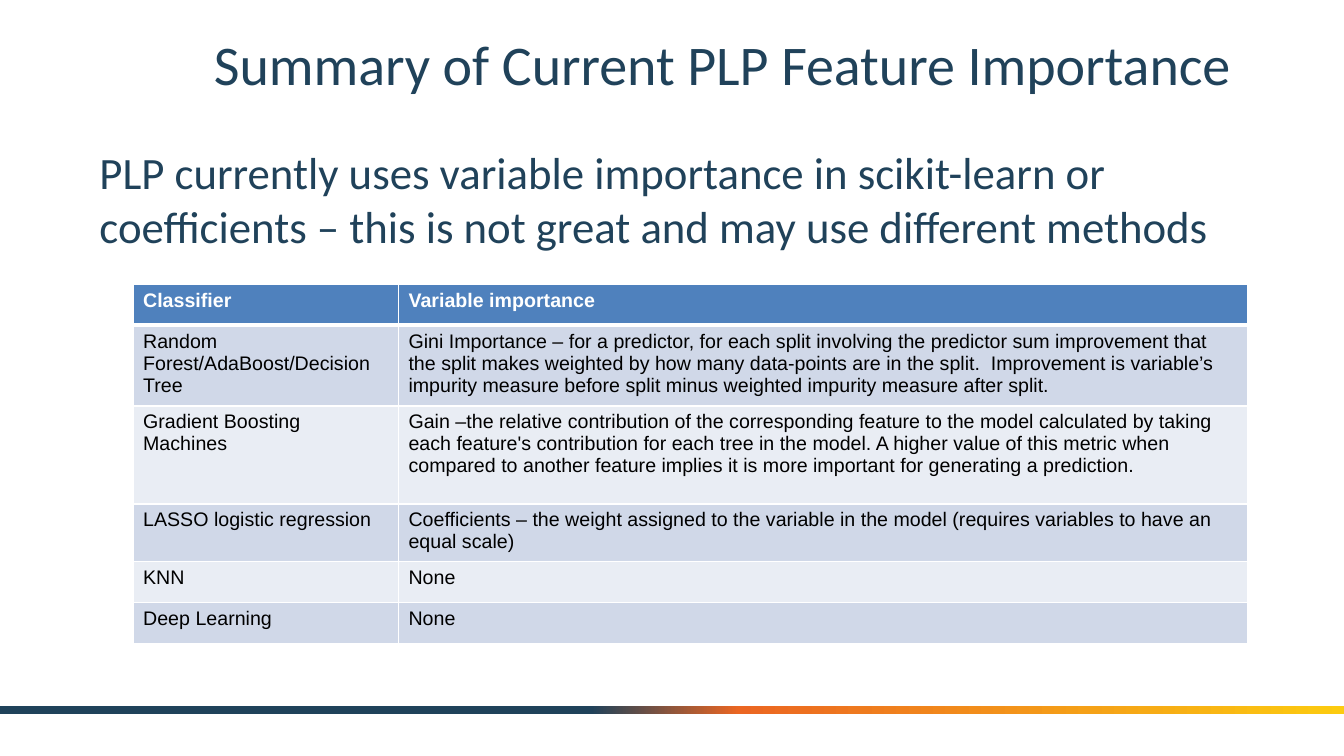
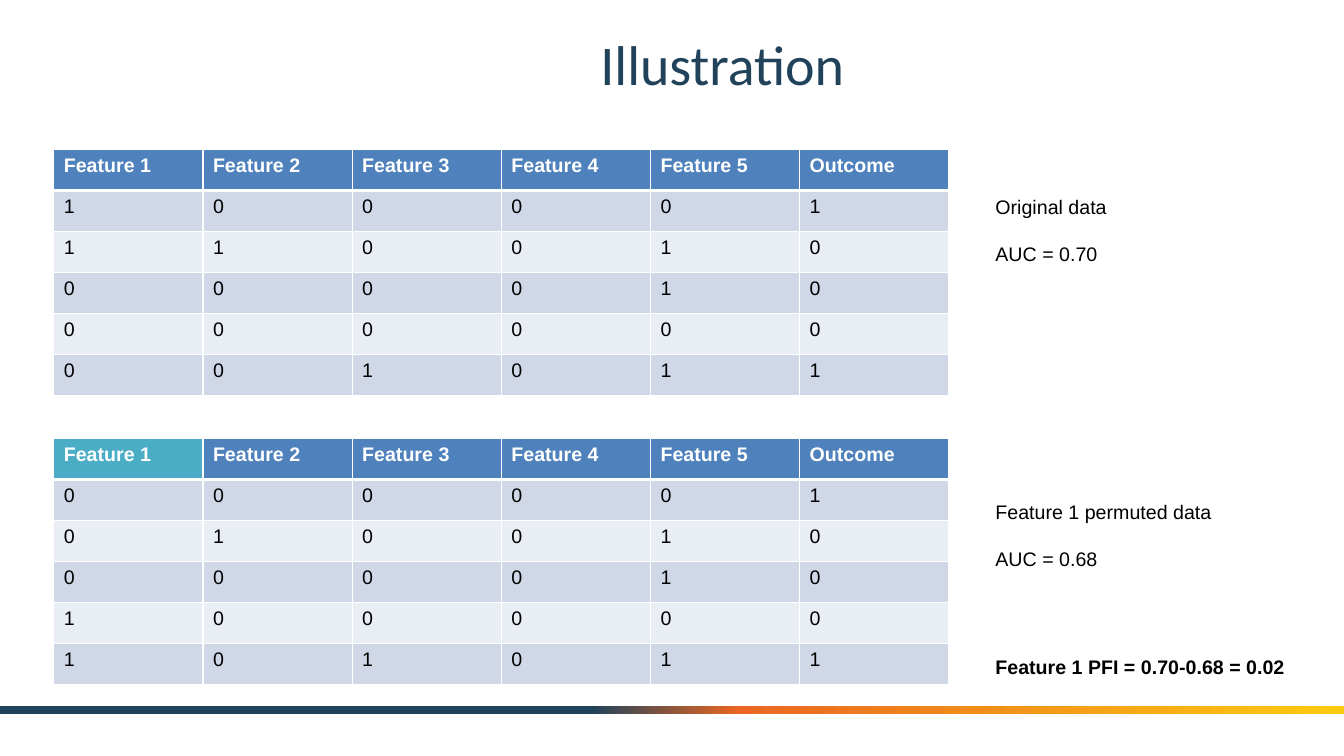
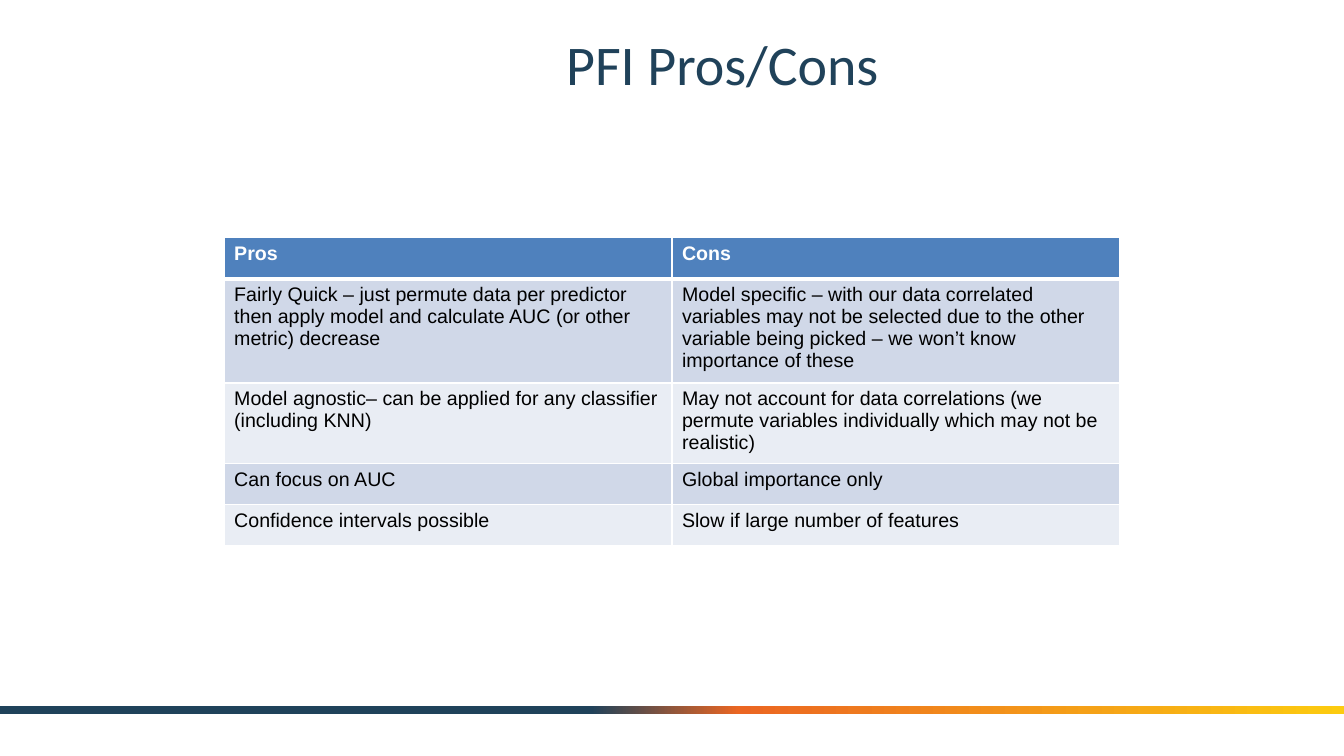
from dataclasses import dataclass, field

from lxml.etree import SubElement
from pptx import Presentation
from pptx.dml.color import RGBColor
from pptx.enum.shapes import MSO_SHAPE as Preset
from pptx.enum.text import MSO_ANCHOR as Anchor, PP_ALIGN as Align
from pptx.oxml.ns import qn
from pptx.slide import Slide
from pptx.util import Inches, Length, Pt

# Grid: 40 columns by 22.5 rows of square cells
COLUMNS, ROWS = 40, 22.5
CELL = Inches(1) / 3
TABLE_ROW = 1.22

# Colours
NAVY = RGBColor(0x20, 0x42, 0x5A)
ORANGE = RGBColor(0xEB, 0x66, 0x22)
YELLOW = RGBColor(0xFC, 0xCB, 0x10)
BLUE = RGBColor(0x4F, 0x81, 0xBD)
TEAL = RGBColor(0x4B, 0xAC, 0xC6)
STRIPES = (RGBColor(0xD0, 0xD8, 0xE8), RGBColor(0xE9, 0xED, 0xF4))
WHITE = RGBColor(0xFF, 0xFF, 0xFF)
BLACK = RGBColor(0x00, 0x00, 0x00)
BAND_STOPS = ((0, NAVY), (44, NAVY), (55, ORANGE), (100, YELLOW))

# Text formats
TITLE = {"name": "Calibri", "size": Pt(40), "color": NAVY}
LEAD = {**TITLE, "size": Pt(32)}
PLAIN = {"name": "Arial", "size": Pt(14), "color": BLACK, "bold": False}
STRONG = {**PLAIN, "bold": True}
HEADER = {**STRONG, "color": WHITE}


@dataclass
class Area:
    """A rectangle in grid cells."""
    left: float
    top: float
    width: float
    height: float

    def box(self) -> tuple[Length, ...]:
        return tuple(cells(n) for n in (self.left, self.top, self.width, self.height))


@dataclass
class Grid:
    """A table: its place, column widths, rows of text and any taller rows."""
    left: float
    top: float
    widths: list[float]
    rows: list[tuple[str, ...]]
    tall_rows: dict[int, float] = field(default_factory=dict)
    header_fills: dict[int, RGBColor] = field(default_factory=dict)


@dataclass
class Note:
    area: Area
    lines: tuple[str, ...]
    style: dict = field(default_factory=lambda: PLAIN)


def cells(count: float) -> Length:
    return Length(round(count * CELL))


def set_font(font, style: dict) -> None:
    for attribute, value in style.items():
        if attribute == "color":
            font.color.rgb = value
        else:
            setattr(font, attribute, value)


def add_text(slide: Slide, area: Area, lines: tuple[str, ...], style: dict,
             frame_format: dict, align: Align = Align.LEFT, gap: float = 0) -> None:
    frame = slide.shapes.add_textbox(*area.box()).text_frame
    for attribute, value in {"word_wrap": True, **frame_format}.items():
        setattr(frame, attribute, value)
    for index, line in enumerate(lines):
        paragraph = frame.add_paragraph() if index else frame.paragraphs[0]
        paragraph.text = line
        paragraph.alignment = align
        if index:
            paragraph.space_before = Pt(gap)
        set_font(paragraph.runs[0].font, style)


def add_band(slide: Slide) -> None:
    band = slide.shapes.add_shape(Preset.RECTANGLE, *Area(0, 21, COLUMNS, 0.25).box())
    band.shadow.inherit = False
    band.line.fill.background()
    band.fill.gradient()
    band.fill.gradient_angle = 0
    stops = next(band.element.iter(qn("a:gsLst")))
    for stop in list(stops):
        stops.remove(stop)
    for percent, color in BAND_STOPS:
        stop = SubElement(stops, qn("a:gs"), pos=str(percent * 1000))
        SubElement(stop, qn("a:srgbClr"), val=str(color))


def set_borders(cell, top: float, bottom: float) -> None:
    properties = cell._tc.get_or_add_tcPr()
    for side, points in {"L": 1, "R": 1, "T": top, "B": bottom}.items():
        line = SubElement(properties, qn(f"a:ln{side}"), w=str(Pt(points)))
        fill = SubElement(line, qn("a:solidFill"))
        SubElement(fill, qn("a:srgbClr"), val=str(WHITE))


def add_grid(slide: Slide, grid: Grid) -> None:
    heights = [grid.tall_rows.get(r, TABLE_ROW) for r in range(len(grid.rows))]
    area = Area(grid.left, grid.top, sum(grid.widths), sum(heights))
    table = slide.shapes.add_table(len(heights), len(grid.widths), *area.box()).table
    for column, width in zip(table.columns, grid.widths):
        column.width = cells(width)
    for r, (texts, height) in enumerate(zip(grid.rows, heights)):
        table.rows[r].height = cells(height)
        for c, text in enumerate(texts):
            cell = table.cell(r, c)
            set_borders(cell, top=3 if r == 1 else 1, bottom=1 if r else 3)
            cell.fill.solid()
            cell.fill.fore_color.rgb = (
                STRIPES[(r - 1) % 2] if r else grid.header_fills.get(c, BLUE))
            cell.text = text
            set_font(cell.text_frame.paragraphs[0].runs[0].font, PLAIN if r else HEADER)


def add_note(slide: Slide, note: Note) -> None:
    add_text(slide, note.area, note.lines, note.style, {}, gap=17)


def add_titled_slide(deck, title: str) -> Slide:
    slide = deck.slides.add_slide(deck.slide_layouts[6])
    add_band(slide)
    add_text(slide, Area(5, 0.5, 33, 2.75), (title,), TITLE,
             {"vertical_anchor": Anchor.MIDDLE}, Align.CENTER)
    return slide


# Content
IMPORTANCE = Grid(3.96, 8.46, [7.9, 25.28], [
    ("Classifier", "Variable importance"),
    ("Random Forest/AdaBoost/Decision Tree",
     "Gini Importance – for a predictor, for each split involving the predictor sum "
     "improvement that the split makes weighted by how many data-points are in the "
     "split.  Improvement is variable’s impurity measure before split minus weighted "
     "impurity measure after split."),
    ("Gradient Boosting Machines",
     "Gain –the relative contribution of the corresponding feature to the model "
     "calculated by taking each feature's contribution for each tree in the model. "
     "A higher value of this metric when compared to another feature implies it is "
     "more important for generating a prediction."),
    ("LASSO logistic regression",
     "Coefficients – the weight assigned to the variable in the model (requires "
     "variables to have an equal scale)"),
    ("KNN", "None"),
    ("Deep Learning", "None"),
], tall_rows={1: 2.28, 2: 2.92, 3: 1.61})

PROS_CONS = Grid(6.67, 7.08, [13.33] * 2, [
    ("Pros", "Cons"),
    ("Fairly Quick – just permute data per predictor then apply model and calculate "
     "AUC (or other metric) decrease",
     "Model specific – with our data correlated variables may not be selected due to "
     "the other variable being picked – we won’t know importance of these"),
    ("Model agnostic– can be applied for any classifier (including KNN)",
     "May not account for data correlations (we permute variables individually which "
     "may not be realistic)"),
    ("Can focus on AUC", "Global importance only"),
    ("Confidence intervals possible", "Slow if large number of features"),
], tall_rows={1: 2.92, 2: 2.28})

# Both data tables share every column but the first
FEATURES = (*(f"Feature {n}" for n in range(1, 6)), "Outcome")
SHARED_VALUES = ("00001", "10010", "00010", "00000", "01011")


def feature_grid(top: float, first_column: str, fills: dict[int, RGBColor]) -> Grid:
    rows = [tuple(first + rest) for first, rest in zip(first_column, SHARED_VALUES)]
    return Grid(1.6, top, [4.44] * len(FEATURES), [FEATURES, *rows], header_fills=fills)


FEATURE_GRIDS = (
    feature_grid(4.45, "11000", {}),
    feature_grid(13.05, "00011", {0: TEAL}),
)
NOTES = (
    Note(Area(29.33, 5.65, 8.3, 2.43), ("Original data", "AUC = 0.70")),
    Note(Area(29.33, 14.73, 8.3, 2.43), ("Feature 1 permuted data", "AUC = 0.68")),
    Note(Area(29.33, 19.33, 9.72, 1.02), ("Feature 1 PFI = 0.70-0.68 = 0.02",), STRONG),
)


def main() -> None:
    deck = Presentation()
    deck.slide_width, deck.slide_height = cells(COLUMNS), cells(ROWS)

    # Current feature importance
    summary = add_titled_slide(deck, "Summary of Current PLP Feature Importance")
    add_text(summary, Area(2, 4, 36, 16.1),
             ("PLP currently uses variable importance in scikit-learn or coefficients – "
              "this is not great and may use different methods",), LEAD,
             {"margin_left": Inches(0.32), "margin_top": Inches(0.1)})
    add_grid(summary, IMPORTANCE)

    # Permutation example
    illustration = add_titled_slide(deck, "Illustration")
    for grid in FEATURE_GRIDS:
        add_grid(illustration, grid)
    for note in NOTES:
        add_note(illustration, note)

    # Pros and cons
    add_grid(add_titled_slide(deck, "PFI Pros/Cons"), PROS_CONS)

    deck.save("out.pptx")


if __name__ == "__main__":
    main()
